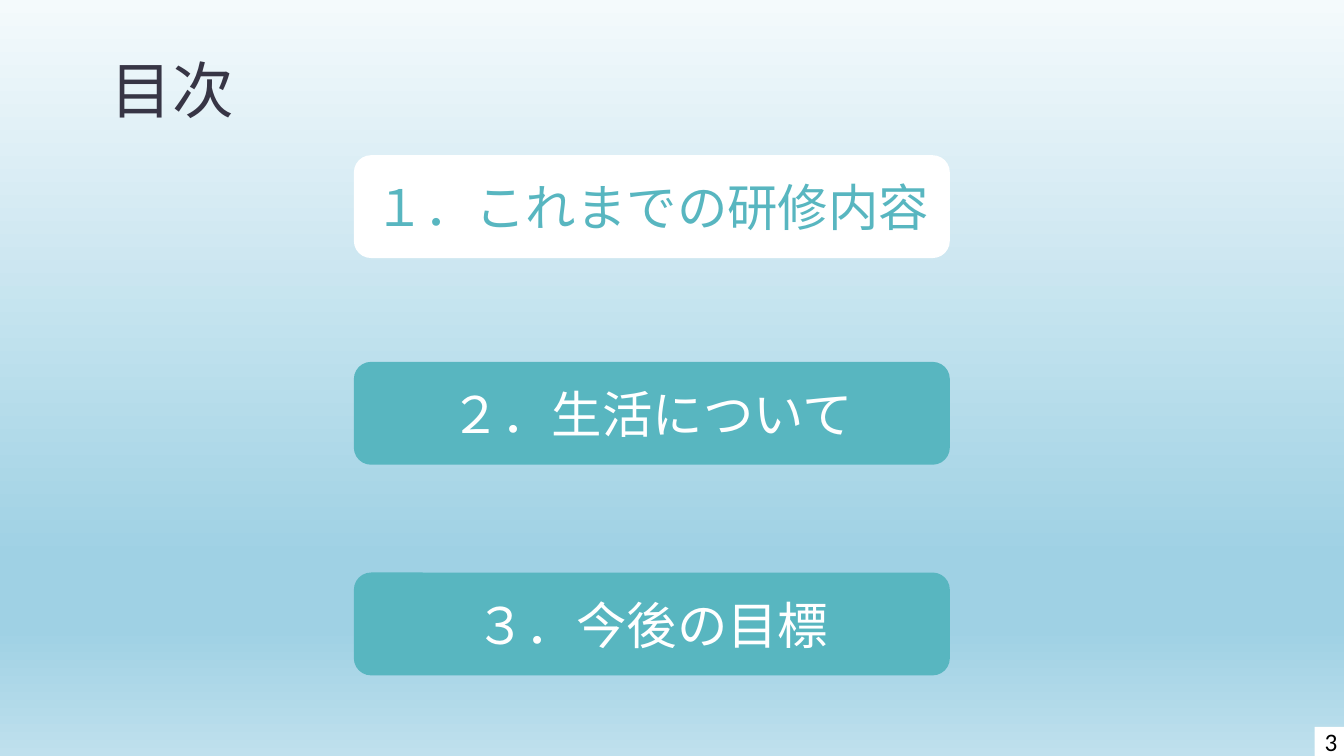
from lxml import etree
from pptx import Presentation
from pptx.dml.color import RGBColor
from pptx.enum.shapes import MSO_SHAPE
from pptx.enum.text import MSO_ANCHOR, MSO_AUTO_SIZE, PP_ALIGN
from pptx.oxml.ns import qn
from pptx.util import Inches, Pt

WIDTH, HEIGHT = Inches(13.33), Inches(7.5)
RECTANGLE, ROUNDED = MSO_SHAPE.RECTANGLE, MSO_SHAPE.ROUNDED_RECTANGLE
MIDDLE, BOTTOM = MSO_ANCHOR.MIDDLE, MSO_ANCHOR.BOTTOM
LEFT, CENTER = PP_ALIGN.LEFT, PP_ALIGN.CENTER
NO_AUTOFIT = MSO_AUTO_SIZE.NONE
JAPANESE_FONT, LATIN_FONT = "Noto Sans CJK JP", "Calibri"
COLORS = {
    "ink": "373545",
    "teal": "58B6C0",
    "white": "FFFFFF",
    "black": "000000",
    "sky_top": "F4FAFC",
    "sky_deep": "9FD1E4",
    "sky_bottom": "BFE0ED",
}
SKY_STOPS = [(0, "sky_top"), (74, "sky_deep"), (83, "sky_deep"), (100, "sky_bottom")]
AGENDA = [
    ("１．これまでの研修内容", 20.53, "white", "teal"),
    ("２．生活について", 47.87, "teal", "white"),
    ("３．今後の目標", 75.73, "teal", "white"),
]


def color(name):
    return RGBColor.from_string(COLORS[name])


def area(left, top, width, height):
    return [round(share * side / 100) for share, side in
            zip((left, top, width, height), (WIDTH, HEIGHT, WIDTH, HEIGHT))]


def paint_sky(page):
    fill = page.background.fill
    fill.gradient()
    fill.gradient_angle = 270
    stops = page.element.find(".//" + qn("a:gsLst"))
    for stop in list(stops):
        stops.remove(stop)
    for percent, name in SKY_STOPS:
        stop = etree.SubElement(stops, qn("a:gs"), pos=str(percent * 1000))
        etree.SubElement(stop, qn("a:srgbClr"), val=COLORS[name])


def write_text(shape, text, size, font, ink, anchor, alignment):
    frame = shape.text_frame
    frame.text = text
    frame.word_wrap = True
    frame.auto_size = NO_AUTOFIT
    frame.vertical_anchor = anchor
    para = frame.paragraphs[0]
    para.alignment = alignment
    span = para.runs[0]
    span.font.size = Pt(size)
    span.font.name = font
    span.font.color.rgb = color(ink)
    latin = span.font._element.find(qn("a:latin"))
    east_asian = etree.Element(qn("a:ea"), typeface=JAPANESE_FONT)
    latin.addnext(east_asian)


def add_title(page, text):
    title = page.shapes.title
    title.left, title.top, title.width, title.height = area(7.5, 6.93, 12.38, 10.27)
    write_text(title, text, 44, JAPANESE_FONT, "ink", BOTTOM, LEFT)
    title.text_frame.paragraphs[0].line_spacing = 0.8


def add_box(page, kind, place, fill, text, size, ink):
    box = page.shapes.add_shape(kind, *place)
    box.shadow.inherit = False
    box.fill.solid()
    box.fill.fore_color.rgb = color(fill)
    box.line.fill.background()
    write_text(box, text, size, LATIN_FONT, ink, MIDDLE, CENTER)


def main():
    deck = Presentation()
    deck.slide_width, deck.slide_height = WIDTH, HEIGHT
    page = deck.slides.add_slide(deck.slide_layouts[5])
    paint_sky(page)
    add_title(page, "目次")
    for text, top, fill, ink in AGENDA:
        add_box(page, ROUNDED, area(26.33, top, 44.34, 13.6), fill, text, 36, ink)
    add_box(page, RECTANGLE, area(97.82, 96.13, 2.33, 3.87), "white", "3", 18, "black")
    deck.save("out.pptx")


if __name__ == "__main__":
    main()
